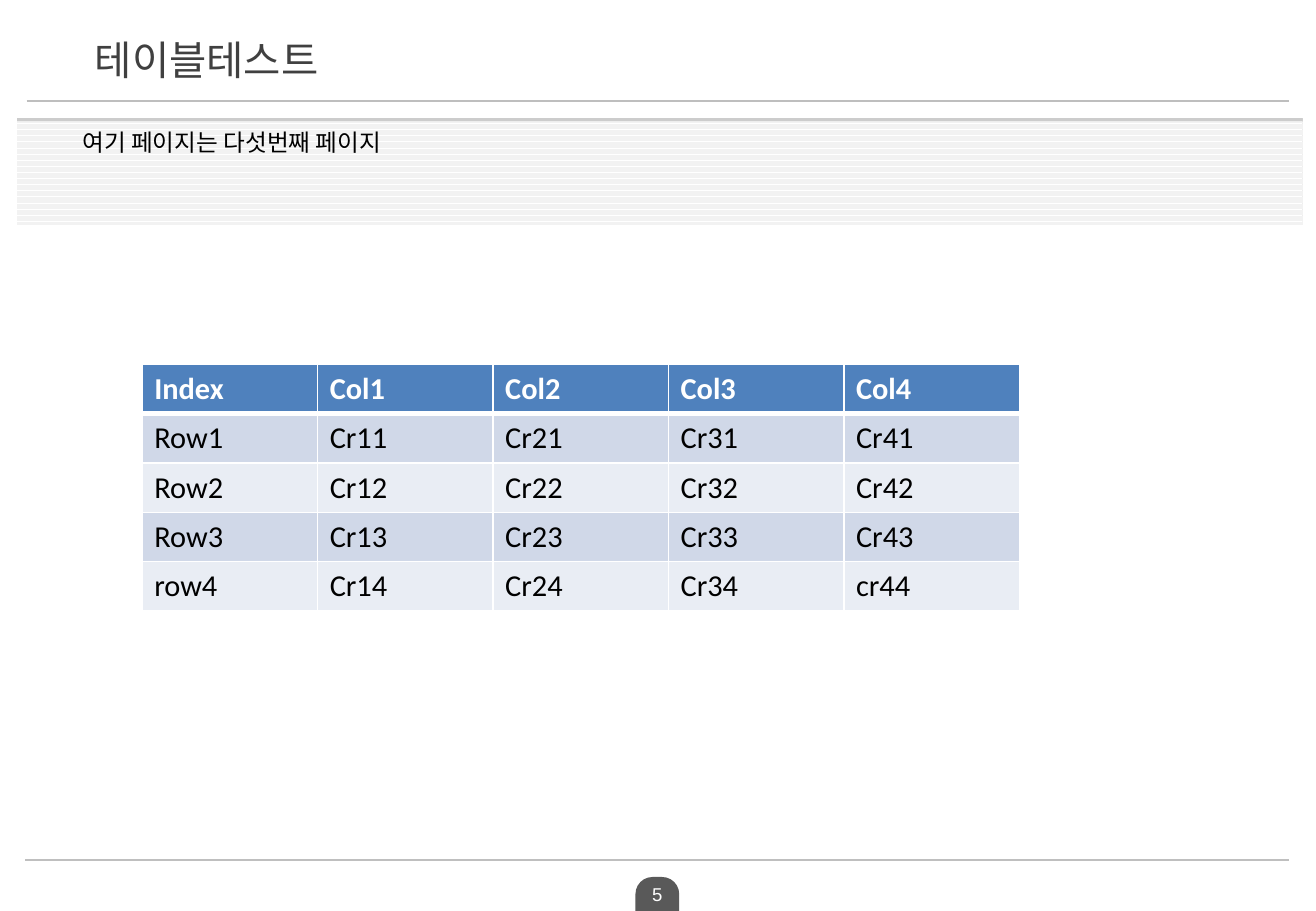
from lxml.etree import SubElement
from pptx import Presentation
from pptx.dml.color import RGBColor
from pptx.enum.dml import MSO_PATTERN
from pptx.enum.shapes import MSO_CONNECTOR, MSO_SHAPE
from pptx.enum.text import MSO_ANCHOR, PP_ALIGN
from pptx.oxml import parse_xml
from pptx.oxml.ns import nsdecls, qn
from pptx.util import Inches, Pt

WHITE = RGBColor(0xFF, 0xFF, 0xFF)
BLACK = RGBColor(0x00, 0x00, 0x00)
TITLE_GRAY = RGBColor(0x40, 0x40, 0x40)
TAB_GRAY = RGBColor(0x59, 0x59, 0x59)
TOP_RULE = RGBColor(0xBE, 0xBE, 0xBE)
BOTTOM_RULE = RGBColor(0xBF, 0xBF, 0xBF)
STRIPE = RGBColor(0xF2, 0xF2, 0xF2)
HEADER_BLUE = RGBColor(0x4F, 0x81, 0xBD)
BAND_DARK = RGBColor(0xD0, 0xD8, 0xE8)
BAND_LIGHT = RGBColor(0xE9, 0xED, 0xF4)


def write(frame, text, size, color, font="Calibri", bold=False, align=PP_ALIGN.LEFT):
    para = frame.paragraphs[0]
    para.alignment = align
    span = para.add_run()
    span.text = text
    span.font.size = Pt(size)
    span.font.name = font
    span.font.bold = bold
    span.font.color.rgb = color


def add_text(left, top, width, height, text, inset=True, anchor=MSO_ANCHOR.TOP, **style):
    box = page.shapes.add_textbox(Inches(left), Inches(top), Inches(width), Inches(height))
    frame = box.text_frame
    frame.word_wrap = True
    frame.vertical_anchor = anchor
    if not inset:
        frame.margin_left = frame.margin_right = 0
        frame.margin_top = frame.margin_bottom = 0
    write(frame, text, **style)


deck = Presentation()
deck.slide_width = Inches(10.83)
deck.slide_height = Inches(7.5)
page = deck.slides.add_slide(deck.slide_layouts[6])

for left, y, color, weight in [(0.22, 0.83, TOP_RULE, 0.96), (0.21, 7.08, BOTTOM_RULE, 1.5)]:
    rule = page.shapes.add_connector(
        MSO_CONNECTOR.STRAIGHT, Inches(left), Inches(y), Inches(10.61), Inches(y))
    rule.line.color.rgb = color
    rule.line.width = Pt(weight)
    SubElement(rule._element.spPr, qn("a:effectLst"))

band = page.shapes.add_shape(
    MSO_SHAPE.RECTANGLE, Inches(0.14), Inches(1), Inches(10.58), Inches(0.85))
band.fill.patterned()
band.fill.pattern = MSO_PATTERN.DARK_HORIZONTAL
band.fill.fore_color.rgb = STRIPE
band.fill.back_color.rgb = WHITE
band.line.fill.background()
band.shadow.inherit = False
band._element.spPr.find(qn("a:effectLst")).append(parse_xml(
    f'<a:outerShdw {nsdecls("a")} blurRad="0" dist="{Pt(2)}" dir="16200000" rotWithShape="0">'
    '<a:srgbClr val="808080"><a:alpha val="40000"/></a:srgbClr></a:outerShdw>'))

number_tab = page.shapes.add_shape(
    MSO_SHAPE.ROUND_2_SAME_RECTANGLE, Inches(5.23), Inches(7.22), Inches(0.36), Inches(0.28))
number_tab.adjustments[0] = 0.5
number_tab.adjustments[1] = 0
number_tab.fill.solid()
number_tab.fill.fore_color.rgb = TAB_GRAY
number_tab.line.fill.background()
number_tab.shadow.inherit = False

add_text(4.19, 7.27, 2.44, 0.19, "5", inset=False,
         size=11, color=WHITE, font="Arial", align=PP_ALIGN.CENTER)
add_text(0.78, 0.31, 9.28, 0.36, "테이블테스트", inset=False, anchor=MSO_ANCHOR.MIDDLE,
         size=24, color=TITLE_GRAY, font="Arial")
add_text(0.58, 1, 10.03, 0.66, "여기 페이지는 다섯번째 페이지", size=14, color=BLACK)

rows = [
    ["Index", "Col1", "Col2", "Col3", "Col4"],
    ["Row1", "Cr11", "Cr21", "Cr31", "Cr41"],
    ["Row2", "Cr12", "Cr22", "Cr32", "Cr42"],
    ["Row3", "Cr13", "Cr23", "Cr33", "Cr43"],
    ["row4", "Cr14", "Cr24", "Cr34", "cr44"],
]
table = page.shapes.add_table(
    len(rows), len(rows[0]), Inches(1.17), Inches(3), Inches(7.22), Inches(2.03)).table

for row_index, labels in enumerate(rows):
    header = row_index == 0
    band_color = BAND_DARK if row_index % 2 else BAND_LIGHT
    weights = {"lnL": 1, "lnR": 1, "lnT": 3 if row_index == 1 else 1, "lnB": 3 if header else 1}
    for column_index, label in enumerate(labels):
        cell = table.cell(row_index, column_index)
        write(cell.text_frame, label, size=18, color=WHITE if header else BLACK, bold=header)
        cell_format = cell._tc.get_or_add_tcPr()
        for side, weight in weights.items():
            cell_format.append(parse_xml(
                f'<a:{side} {nsdecls("a")} w="{Pt(weight)}"><a:solidFill>'
                f'<a:srgbClr val="{WHITE}"/></a:solidFill></a:{side}>'))
        cell.fill.solid()
        cell.fill.fore_color.rgb = HEADER_BLUE if header else band_color

deck.save("out.pptx")
